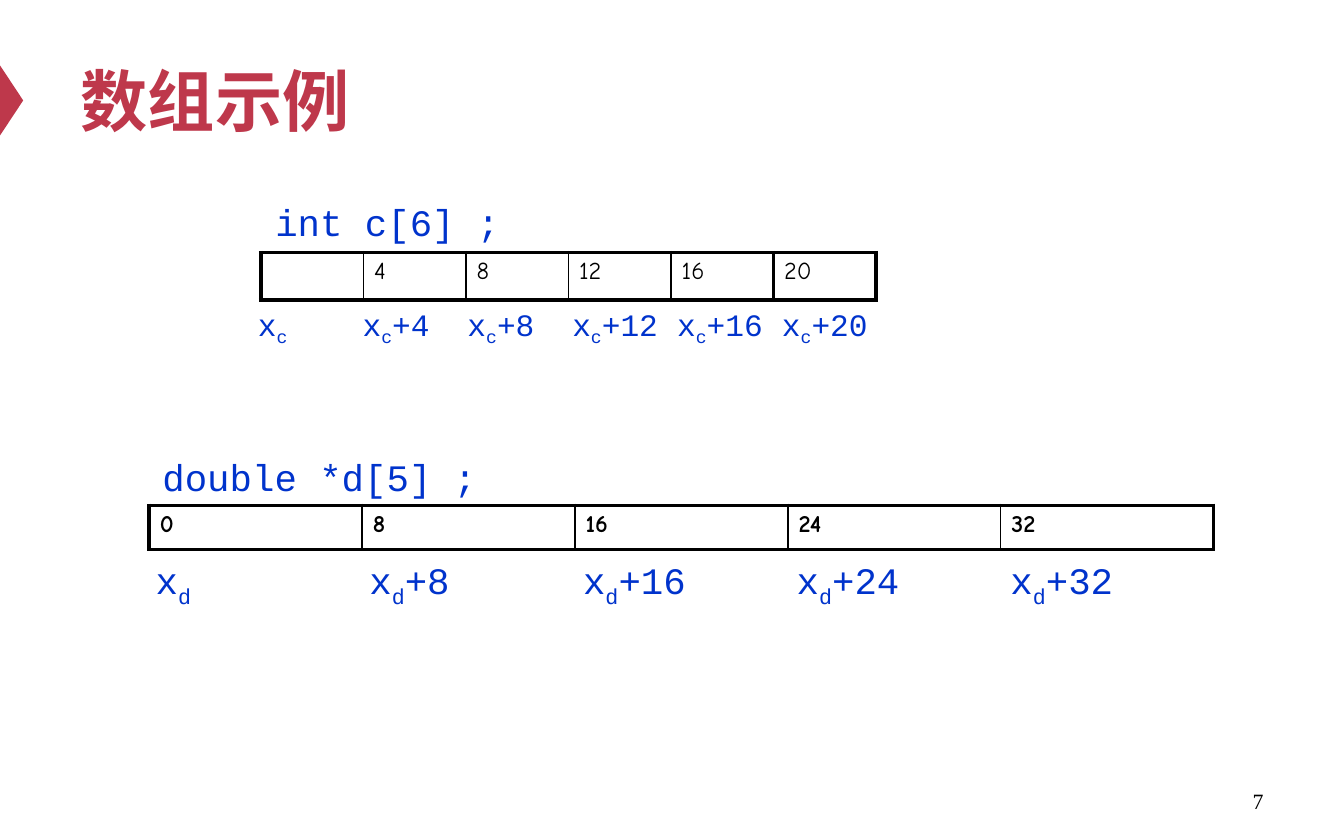
import dataclasses
import typing

import lxml.etree
import pptx
import pptx.dml.color
import pptx.enum.shapes
import pptx.enum.text
import pptx.oxml.ns
import pptx.util

CELL = 0.1  # side of one grid square in inches: 100 columns by 62.5 rows
ANCHOR = pptx.enum.text.MSO_ANCHOR
ALIGN = pptx.enum.text.PP_ALIGN


@dataclasses.dataclass(frozen=True)
class TextStyle:
    face: str
    size: float
    colour: str
    bold: bool = False


@dataclasses.dataclass(frozen=True)
class Theme:
    accent: str = "BE384B"
    line: str = "000000"
    thin: float = 1
    thick: float = 2.25
    title: TextStyle = TextStyle("Arial", 36, "BE384B", True)
    number: TextStyle = TextStyle("Times New Roman", 11.7, "000000")
    code: TextStyle = TextStyle("Courier New", 20, "0033CC")
    small_code: TextStyle = TextStyle("Courier New", 16.7, "0033CC")
    offset: TextStyle = TextStyle("Comic Neue", 13, "000000")
    bold_offset: TextStyle = TextStyle("Comic Neue", 13, "000000", True)


THEME = Theme()


class Area(typing.NamedTuple):
    """Place on the grid, in columns and rows."""
    left: float
    top: float
    width: float
    height: float


@dataclasses.dataclass(frozen=True)
class ArrayDiagram:
    name: str
    declaration: str
    code_left: float
    code_top: float
    cells: Area
    offsets: tuple[str, ...]
    offset_style: TextStyle
    thick_edges: tuple[int, ...]
    addresses: tuple[str, ...]
    address_style: TextStyle
    address_left: float
    address_top: float
    address_step: float


DIAGRAMS = (
    ArrayDiagram("c", "int c[6] ;", 19.5, 14.3, Area(19.4, 18.8, 45.8, 3.5),
                 ("", "4", "8", "12", "16", "20"), THEME.offset, (0, 5, 6),
                 ("", "+4", "+8", "+12", "+16", "+20"), THEME.small_code,
                 18.2, 22.2, 7.8),
    ArrayDiagram("d", "double *d[5] ;", 11.1, 33.3, Area(11.1, 37.6, 79.2, 3.3),
                 ("0", "8", "16", "24", "32"), THEME.bold_offset, (0, 5),
                 ("", "+8", "+16", "+24", "+32"), THEME.code,
                 10.6, 41, 15.9),
)


def grid(count: float) -> int:
    return pptx.util.Inches(count * CELL)


def rgb(colour: str) -> pptx.dml.color.RGBColor:
    return pptx.dml.color.RGBColor.from_string(colour)


def add_span(para, text: str, style: TextStyle, subscript: bool = False) -> None:
    span = para.add_run()
    span.text = text
    settings = {"name": style.face, "size": pptx.util.Pt(style.size), "bold": style.bold}
    for key, value in settings.items():
        setattr(span.font, key, value)
    span.font.color.rgb = rgb(style.colour)
    if subscript:
        span.font._element.set("baseline", "-25000")


def set_frame(frame, **settings) -> None:
    for key, value in settings.items():
        setattr(frame, key, value)


def add_code(page, left: float, top: float, parts: tuple[str, ...], style: TextStyle) -> None:
    """Add code as wide as its letters; a second part is set as a subscript."""
    letters = sum(len(part) * (0.58 if index == 1 else 1) for index, part in enumerate(parts))
    width = (0.6 * style.size * letters / 72 + 0.22) / CELL
    height = 4.4 if style == THEME.code else 3.8
    box = page.shapes.add_textbox(grid(left), grid(top), grid(width), grid(height))
    set_frame(box.text_frame, word_wrap=False)
    for index, part in enumerate(parts):
        if part:
            add_span(box.text_frame.paragraphs[0], part, style, index == 1)


def set_borders(cell, widths: dict[str, float]) -> None:
    properties = cell._tc.get_or_add_tcPr()
    for index, (side, width) in enumerate(widths.items()):
        line = lxml.etree.Element(pptx.oxml.ns.qn(f"a:ln{side}"),
                                  w=str(pptx.util.Pt(width)))
        fill = lxml.etree.SubElement(line, pptx.oxml.ns.qn("a:solidFill"))
        lxml.etree.SubElement(fill, pptx.oxml.ns.qn("a:srgbClr"), val=THEME.line)
        properties.insert(index, line)


def add_cells(page, diagram: ArrayDiagram) -> None:
    count = len(diagram.offsets)
    table = page.shapes.add_table(1, count, *map(grid, diagram.cells)).table
    set_frame(table, first_row=False, horz_banding=False)
    edges = [THEME.thick if edge in diagram.thick_edges else THEME.thin
             for edge in range(count + 1)]
    for index, offset in enumerate(diagram.offsets):
        table.columns[index].width = grid(diagram.cells.width / count)
        cell = table.cell(0, index)
        set_frame(cell, margin_left=grid(0.8), margin_right=grid(0.8),
                  margin_top=grid(0.4), margin_bottom=grid(0.4))
        cell.fill.background()
        set_borders(cell, {"L": edges[index], "R": edges[index + 1],
                           "T": THEME.thick, "B": THEME.thick})
        para = cell.text_frame.paragraphs[0]
        if offset:
            add_span(para, offset, diagram.offset_style)
        else:
            # Keeps the empty cell from growing to the default type size.
            end = lxml.etree.SubElement(para._p, pptx.oxml.ns.qn("a:endParaRPr"))
            end.set("sz", str(diagram.offset_style.size * 100))


def add_diagram(page, diagram: ArrayDiagram) -> None:
    add_cells(page, diagram)
    add_code(page, diagram.code_left, diagram.code_top, (diagram.declaration,), THEME.code)
    for index, address in enumerate(diagram.addresses):
        add_code(page, diagram.address_left + index * diagram.address_step,
                 diagram.address_top, ("x", diagram.name, address), diagram.address_style)


def add_marker(page) -> None:
    marker = page.shapes.add_shape(pptx.enum.shapes.MSO_SHAPE.ISOSCELES_TRIANGLE,
                                   *map(grid, Area(-1.8, 6.6, 5.3, 1.75)))
    marker.rotation = 90
    marker.shadow.inherit = False
    marker.fill.solid()
    marker.fill.fore_color.rgb = rgb(THEME.accent)
    marker.line.fill.background()


def fill_box(box, text: str, style: TextStyle, alignment: ALIGN) -> None:
    set_frame(box.text_frame, word_wrap=True, vertical_anchor=ANCHOR.MIDDLE,
              auto_size=pptx.enum.text.MSO_AUTO_SIZE.NONE)
    para = box.text_frame.paragraphs[0]
    para.alignment = alignment
    add_span(para, text, style)


def main() -> None:
    deck = pptx.Presentation()
    deck.slide_width, deck.slide_height = grid(100), grid(62.5)
    page = deck.slides.add_slide(deck.slide_layouts.get_by_name("Title Only"))
    add_marker(page)
    title = page.shapes.title
    for key, value in Area(5, 2.5, 90, 9.8)._asdict().items():
        setattr(title, key, grid(value))
    fill_box(title, "数组示例", THEME.title, ALIGN.LEFT)
    number = page.shapes.add_textbox(*map(grid, Area(71.7, 57.9, 23.3, 3.3)))
    fill_box(number, "7", THEME.number, ALIGN.RIGHT)
    for diagram in DIAGRAMS:
        add_diagram(page, diagram)
    deck.save("out.pptx")


if __name__ == "__main__":
    main()
